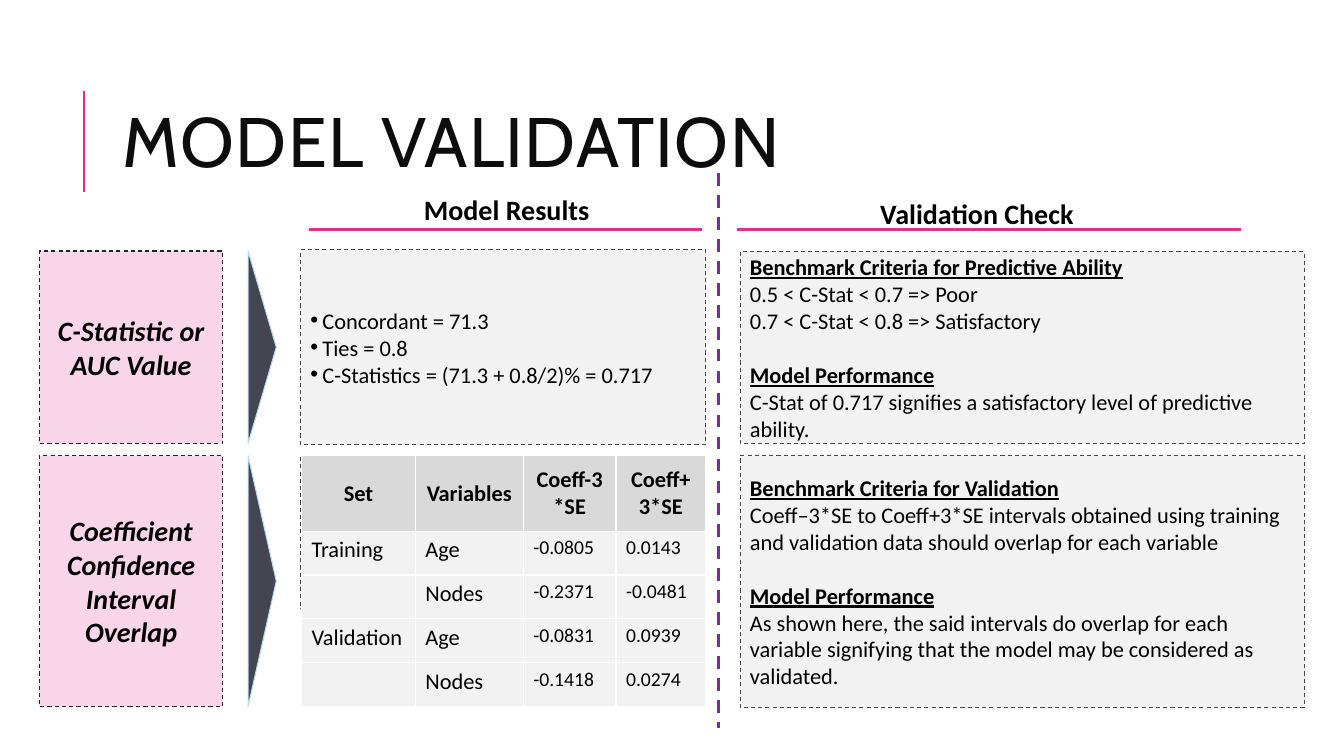
from dataclasses import dataclass
from typing import Optional

from lxml.etree import SubElement
from pptx import Presentation
from pptx.dml.color import RGBColor
from pptx.enum.dml import MSO_LINE
from pptx.enum.shapes import MSO_CONNECTOR, MSO_SHAPE
from pptx.enum.text import MSO_ANCHOR, PP_ALIGN
from pptx.oxml.ns import qn
from pptx.util import Inches, Pt


@dataclass(frozen=True)
class Theme:
    body_font: str = "Calibri"
    title_font: str = "Cabin"
    title_size: float = 50
    heading_size: float = 20
    body_size: float = 16
    number_size: float = 14
    paragraph_gap: float = 19.5
    white: str = "FFFFFF"
    black: str = "000000"
    title: str = "0D0D0D"
    accent: str = "E32D91"
    divider: str = "7030A0"
    label_fill: str = "F9D5E9"
    label_line: str = "222228"
    panel_fill: str = "F2F2F2"
    slate: str = "454551"
    arrow_line: str = "B8DBF1"
    header_fill: str = "D9D9D9"


@dataclass(frozen=True)
class Box:
    left: float
    top: float
    width: float
    height: float

    def lengths(self) -> tuple:
        return tuple(Inches(value) for value in (self.left, self.top, self.width, self.height))


@dataclass(frozen=True)
class Line:
    text: str
    size: float
    bold: bool = False
    italic: bool = False
    underline: bool = False
    centred: bool = False
    bullet: bool = False
    gap_before: float = 0


@dataclass(frozen=True)
class Rule:
    start: tuple
    end: tuple
    color: str
    width: float
    dashed: bool = False


theme = Theme()
presentation = Presentation()
presentation.slide_width, presentation.slide_height = Inches(13.33), Inches(7.5)
slide = presentation.slides.add_slide(presentation.slide_layouts[6])


def write_lines(text_frame, lines: list) -> None:
    for index, line in enumerate(lines):
        paragraph = text_frame.paragraphs[0] if index == 0 else text_frame.add_paragraph()
        paragraph.alignment = PP_ALIGN.CENTER if line.centred else PP_ALIGN.LEFT
        paragraph.space_before = Pt(line.gap_before)
        if line.bullet:
            properties = paragraph._p.get_or_add_pPr()
            properties.set("marL", str(Inches(0.12)))
            properties.set("indent", str(Inches(-0.12)))
            SubElement(properties, qn("a:buFont")).set("typeface", "Arial")
            SubElement(properties, qn("a:buChar")).set("char", "•")
        run = paragraph.add_run()
        run.text = line.text
        font = run.font
        font.name, font.size = theme.body_font, Pt(line.size)
        font.bold, font.italic, font.underline = line.bold, line.italic, line.underline
        font.color.rgb = RGBColor.from_string(theme.black)


def add_box(box: Box, fill: str, lines: list, outline: Optional[str] = None,
            preset: MSO_SHAPE = MSO_SHAPE.RECTANGLE, dashed: bool = True):
    shape = slide.shapes.add_shape(preset, *box.lengths())
    shape.shadow.inherit = False
    shape.fill.solid()
    shape.fill.fore_color.rgb = RGBColor.from_string(fill)
    if outline:
        shape.line.color.rgb = RGBColor.from_string(outline)
        shape.line.width = Pt(0.75)
        if dashed:
            shape.line.dash_style = MSO_LINE.DASH
    else:
        shape.line.fill.background()
    shape.text_frame.word_wrap = True
    shape.text_frame.vertical_anchor = MSO_ANCHOR.MIDDLE
    write_lines(shape.text_frame, lines)
    return shape


def add_rule(rule: Rule) -> None:
    points = [Inches(value) for value in (*rule.start, *rule.end)]
    connector = slide.shapes.add_connector(MSO_CONNECTOR.STRAIGHT, *points)
    connector.line.color.rgb = RGBColor.from_string(rule.color)
    connector.line.width = Pt(rule.width)
    if rule.dashed:
        connector.line.dash_style = MSO_LINE.DASH
    SubElement(connector._element.spPr, qn("a:effectLst"))


def add_pointer(center_x: float, top: float, length: float) -> None:
    depth = 0.28
    box = Box(center_x - length / 2, top + (length - depth) / 2, length, depth)
    add_box(box, theme.slate, [], theme.arrow_line, MSO_SHAPE.ISOSCELES_TRIANGLE, False).rotation = 90


def heading(text: str, italic: bool = False) -> Line:
    return Line(text, theme.heading_size, bold=True, italic=italic, centred=True)


def check_lines(criteria: str, rules: list, performance: str) -> list:
    size = theme.body_size
    return [Line(criteria, size, bold=True, underline=True),
            *(Line(rule, size) for rule in rules),
            Line("Model Performance", size, bold=True, underline=True, gap_before=theme.paragraph_gap),
            Line(performance, size)]


# Title
title = slide.shapes.add_textbox(*Box(1.12, 0.64, 10.63, 1.64).lengths())
title.text_frame.word_wrap = True
title.text_frame.vertical_anchor = MSO_ANCHOR.MIDDLE
title_paragraph = title.text_frame.paragraphs[0]
title_paragraph.line_spacing = 0.8
title_run = title_paragraph.add_run()
title_run.text = "MODEL VALIDATION"
title_run.font.name, title_run.font.size = theme.title_font, Pt(theme.title_size)
title_run.font.color.rgb = RGBColor.from_string(theme.title)
title_run._r.get_or_add_rPr().set("spc", "100")

# Column headings
add_box(Box(3.06, 1.89, 3.93, 0.38), theme.white, [heading("Model Results")])
add_box(Box(7.32, 1.85, 4.74, 0.54), theme.white, [heading("Validation Check")])

# Row labels and pointers
for text, top, height in (("C-Statistic or AUC Value", 2.49, 1.91),
                          ("Coefficient Confidence Interval Overlap", 4.52, 2.49)):
    add_box(Box(0.39, top, 1.82, height), theme.label_fill, [heading(text, True)], theme.label_line)
    add_pointer(2.6, top, height)

# Result panels
results = ("Concordant = 71.3", "Ties = 0.8", "C-Statistics = (71.3 + 0.8/2)% = 0.717")
add_box(Box(2.98, 2.48, 4.02, 1.93), theme.panel_fill,
        [Line(text, theme.body_size, bullet=True) for text in results], theme.slate)
add_box(Box(2.98, 4.52, 3.95, 1.52), theme.panel_fill, [], theme.slate)

# Validation panels
add_box(Box(7.34, 2.5, 5.6, 1.9), theme.panel_fill, check_lines(
    "Benchmark Criteria for Predictive Ability",
    ["0.5 < C-Stat < 0.7 => Poor", "0.7 < C-Stat < 0.8 => Satisfactory"],
    "C-Stat of 0.717 signifies a satisfactory level of predictive ability."), theme.slate)
add_box(Box(7.34, 4.52, 5.6, 2.5), theme.panel_fill, check_lines(
    "Benchmark Criteria for Validation",
    ["Coeff–3*SE to Coeff+3*SE intervals obtained using training and validation data "
     "should overlap for each variable"],
    "As shown here, the said intervals do overlap for each variable signifying that "
    "the model may be considered as validated."), theme.slate)

# Rules and divider
for rule in (Rule((0.83, 0.9), (0.83, 1.9), theme.accent, 1.5),
             Rule((3.06, 2.28), (6.96, 2.28), theme.accent, 2.25),
             Rule((7.31, 2.28), (12.31, 2.28), theme.accent, 2.25),
             Rule((7.13, 1.72), (7.13, 7.22), theme.divider, 2.25, dashed=True)):
    add_rule(rule)

# Coefficient interval table; the default style supplies its white borders
rows = (("Set", "Variables", "Coeff-3*SE", "Coeff+3*SE"),
        ("Training", "Age", "-0.0805", "0.0143"),
        ("", "Nodes", "-0.2371", "-0.0481"),
        ("Validation", "Age", "-0.0831", "0.0939"),
        ("", "Nodes", "-0.1418", "0.0274"))
table = slide.shapes.add_table(len(rows), len(rows[0]), *Box(2.99, 4.52, 4.01, 2.49).lengths()).table
for column, width in zip(table.columns, (1.13, 1.07, 0.92, 0.89)):
    column.width = Inches(width)
for row_index, values in enumerate(rows):
    is_header = row_index == 0
    table.rows[row_index].height = Inches(0.75 if is_header else 0.435)
    for column_index, value in enumerate(values):
        cell = table.cell(row_index, column_index)
        cell.fill.solid()
        cell.fill.fore_color.rgb = RGBColor.from_string(theme.header_fill if is_header else theme.panel_fill)
        cell.vertical_anchor = MSO_ANCHOR.MIDDLE if is_header else MSO_ANCHOR.TOP
        is_number = column_index >= 2 and not is_header
        size = theme.number_size if is_number else theme.body_size
        if value:
            write_lines(cell.text_frame, [Line(value, size, bold=is_header, centred=is_header)])

presentation.save("out.pptx")
